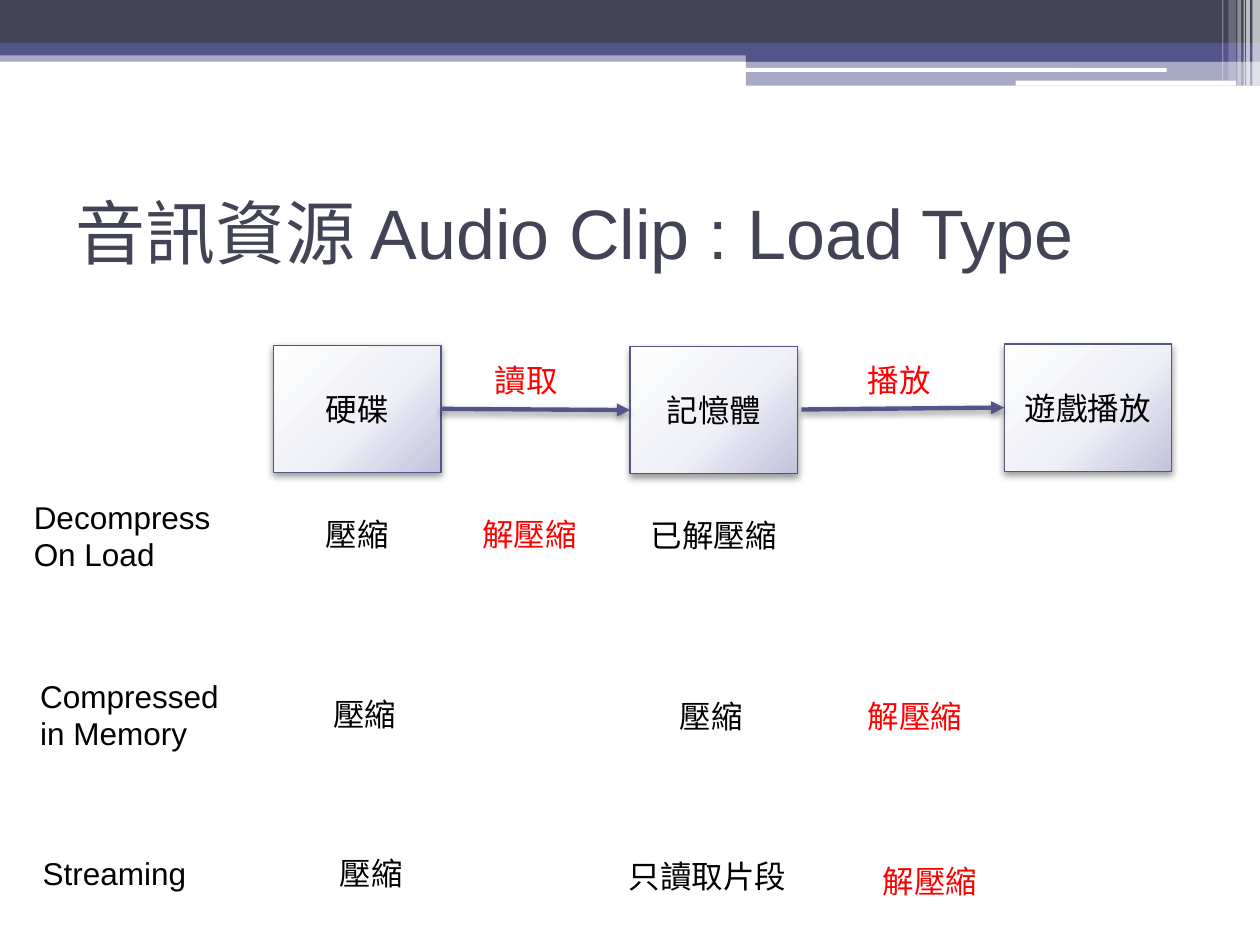
from lxml import etree
from pptx import Presentation
from pptx import util as u
from pptx.dml.color import RGBColor
from pptx.enum import shapes, text
from pptx.oxml import parse_xml
from pptx.oxml.ns import nsdecls, qn

PX = u.Inches(1) // 100
SLIDE_WIDTH, SLIDE_HEIGHT = 1000, 750
FONT = "Arial"
BODY_SIZE, TITLE_SIZE = 18, 40

BLACK = RGBColor(0x00, 0x00, 0x00)
RED = RGBColor(0xFF, 0x00, 0x00)
WHITE = RGBColor(0xFF, 0xFF, 0xFF)
SLATE = RGBColor(0x42, 0x44, 0x56)
INDIGO = RGBColor(0x53, 0x54, 0x8A)
PEARL = RGBColor(0xFE, 0xFE, 0xFE)
MIST = RGBColor(0xF0, 0xF1, 0xF7)
LAVENDER = RGBColor(0xC2, 0xC2, 0xDD)
STAGE_GRADIENT = [(0, PEARL), (55, MIST), (100, LAVENDER)]

RECT = shapes.MSO_SHAPE.RECTANGLE
ROUND = shapes.MSO_SHAPE.ROUNDED_RECTANGLE
LEFT, CENTER = text.PP_ALIGN.LEFT, text.PP_ALIGN.CENTER
MIDDLE = text.MSO_ANCHOR.MIDDLE
LEFT_SIDE, RIGHT_SIDE = 1, 3

TAB_LEFT = 592
TAB_WIDTH = SLIDE_WIDTH - TAB_LEFT
STAGE_WIDTH, STAGE_HEIGHT = 133, 101
LABEL_WIDTH = 163
LINE_HEIGHT, TWO_LINE_HEIGHT = 40, 71
TWO_GLYPHS, THREE_GLYPHS = 71, 96

HEADER_BANDS = [
    (RECT, (0, 40, SLIDE_WIDTH, 9), INDIGO, 50),
    (RECT, (0, 0, SLIDE_WIDTH, 34), SLATE, 100),
    (RECT, (0, 34, SLIDE_WIDTH, 10), INDIGO, 100),
    (RECT, (TAB_LEFT, 39, TAB_WIDTH, 10), INDIGO, 100),
    (RECT, (TAB_LEFT, 48, TAB_WIDTH, 20), INDIGO, 50),
    (ROUND, (591, 54, 335, 3), WHITE, 100),
    (ROUND, (806, 64, 175, 4), WHITE, 100),
]
HEADER_STRIPES = [
    (994, 6, 68, 65),
    (989, 3, 68, 65),
    (987, 1, 68, 60),
    (982, 3, 68, 40),
    (975, 6, 64, 20),
    (970, 1, 64, 30),
]
STAGES = [("硬碟", 217, 274), ("記憶體", 500, 275), ("遊戲播放", 797, 273)]
LOAD_TYPES = [
    ("Decompress On Load", 17, 390, TWO_LINE_HEIGHT),
    ("Compressed in Memory", 22, 532, TWO_LINE_HEIGHT),
    ("Streaming", 24, 673, LINE_HEIGHT),
]
STORED_STATES = [
    ("壓縮", 202, 404),
    ("已解壓縮", 485, 405),
    ("壓縮", 208, 547),
    ("壓縮", 483, 548),
    ("壓縮", 213, 673),
    ("只讀取片段", 480, 675),
]
ACTIONS = [
    ("讀取", 383, 282, TWO_GLYPHS),
    ("播放", 679, 282, TWO_GLYPHS),
    ("解壓縮", 373, 404, THREE_GLYPHS),
    ("解壓縮", 679, 548, THREE_GLYPHS),
    ("解壓縮", 691, 679, THREE_GLYPHS),
]


def to_emu(*lengths):
    return [length * PX for length in lengths]


def write(frame, words, color, align, size=BODY_SIZE):
    paragraph = frame.paragraphs[0]
    paragraph.alignment = align
    run = paragraph.add_run()
    run.text = words
    run.font.size = u.Pt(size)
    run.font.name = FONT
    run.font.color.rgb = color


def set_line(line, width):
    line.color.rgb = INDIGO
    line.width = u.Pt(width)


def add_shadow(properties, opacity, blur):
    effects = etree.SubElement(properties, qn("a:effectLst"))
    effects.append(parse_xml(
        f'<a:outerShdw {nsdecls("a")} blurRad="{u.Pt(blur)}" dist="{u.Pt(2)}"'
        ' dir="5400000" rotWithShape="0"><a:srgbClr val="000000">'
        f'<a:alpha val="{opacity * 1000}"/></a:srgbClr></a:outerShdw>'))


def fill_radial(shape, stops):
    shape.fill.background()
    stop_xml = "".join(
        f'<a:gs pos="{place * 1000}"><a:srgbClr val="{color}"/></a:gs>'
        for place, color in stops)
    gradient = parse_xml(
        f'<a:gradFill {nsdecls("a")} rotWithShape="1"><a:gsLst>{stop_xml}</a:gsLst>'
        '<a:path path="circle"><a:fillToRect l="-40000" t="-90000"'
        ' r="140000" b="190000"/></a:path></a:gradFill>')
    properties = shape._element.spPr
    properties.replace(properties.find(qn("a:noFill")), gradient)


def add_band(slide, kind, box, color, opacity):
    shape = slide.shapes.add_shape(kind, *to_emu(*box))
    shape.shadow.inherit = False
    shape.fill.solid()
    shape.fill.fore_color.rgb = color
    shape.line.fill.background()
    if opacity < 100:
        tint = next(shape._element.spPr.iter(qn("a:srgbClr")))
        etree.SubElement(tint, qn("a:alpha"), val=str(opacity * 1000))


def add_stage(slide, words, left, top):
    shape = slide.shapes.add_shape(
        RECT, *to_emu(left, top, STAGE_WIDTH, STAGE_HEIGHT))
    fill_radial(shape, STAGE_GRADIENT)
    set_line(shape.line, 0.75)
    add_shadow(shape._element.spPr, opacity=40, blur=4.1)
    shape.text_frame.word_wrap = True
    shape.text_frame.vertical_anchor = MIDDLE
    write(shape.text_frame, words, BLACK, CENTER)
    return shape


def add_arrow(slide, start, end):
    connector = slide.shapes.add_connector(
        shapes.MSO_CONNECTOR.STRAIGHT, *to_emu(*start, *end))
    set_line(connector.line, 2.5)
    properties = connector._element.spPr
    etree.SubElement(properties.find(qn("a:ln")), qn("a:tailEnd"), type="triangle")
    add_shadow(properties, opacity=45, blur=4)
    return connector


def add_label(slide, words, box, color=BLACK, align=LEFT, size=BODY_SIZE, wrap=True):
    label = slide.shapes.add_textbox(*to_emu(*box))
    label.text_frame.word_wrap = wrap
    write(label.text_frame, words, color, align, size)
    return label


def add_header(slide):
    for band in HEADER_BANDS:
        add_band(slide, *band)
    for left, width, height, opacity in HEADER_STRIPES:
        add_band(slide, RECT, (left, 0, width, height), WHITE, opacity)


def add_title(slide):
    title = add_label(slide, "音訊資源 Audio Clip : Load Type",
                      (50, 125, 900, 117), SLATE, size=TITLE_SIZE)
    title.text_frame.vertical_anchor = MIDDLE


def add_flow(slide):
    disk, memory, playback = [add_stage(slide, *stage) for stage in STAGES]
    read_arrow = add_arrow(slide, (350, 325), (500, 326))
    read_arrow.begin_connect(disk, RIGHT_SIDE)
    read_arrow.end_connect(memory, LEFT_SIDE)
    play_arrow = add_arrow(slide, (636, 325), (797, 324))
    play_arrow.end_connect(playback, LEFT_SIDE)


def add_comparison(slide):
    for words, left, top, height in LOAD_TYPES:
        add_label(slide, words, (left, top, LABEL_WIDTH, height))
    for words, left, top in STORED_STATES:
        add_label(slide, words, (left, top, LABEL_WIDTH, LINE_HEIGHT), align=CENTER)
    for words, left, top, width in ACTIONS:
        add_label(slide, words, (left, top, width, LINE_HEIGHT), RED, wrap=False)


def main():
    presentation = Presentation()
    presentation.slide_width, presentation.slide_height = to_emu(
        SLIDE_WIDTH, SLIDE_HEIGHT)
    slide = presentation.slides.add_slide(presentation.slide_layouts[6])
    add_header(slide)
    add_flow(slide)
    add_comparison(slide)
    add_title(slide)
    presentation.save("out.pptx")


if __name__ == "__main__":
    main()
